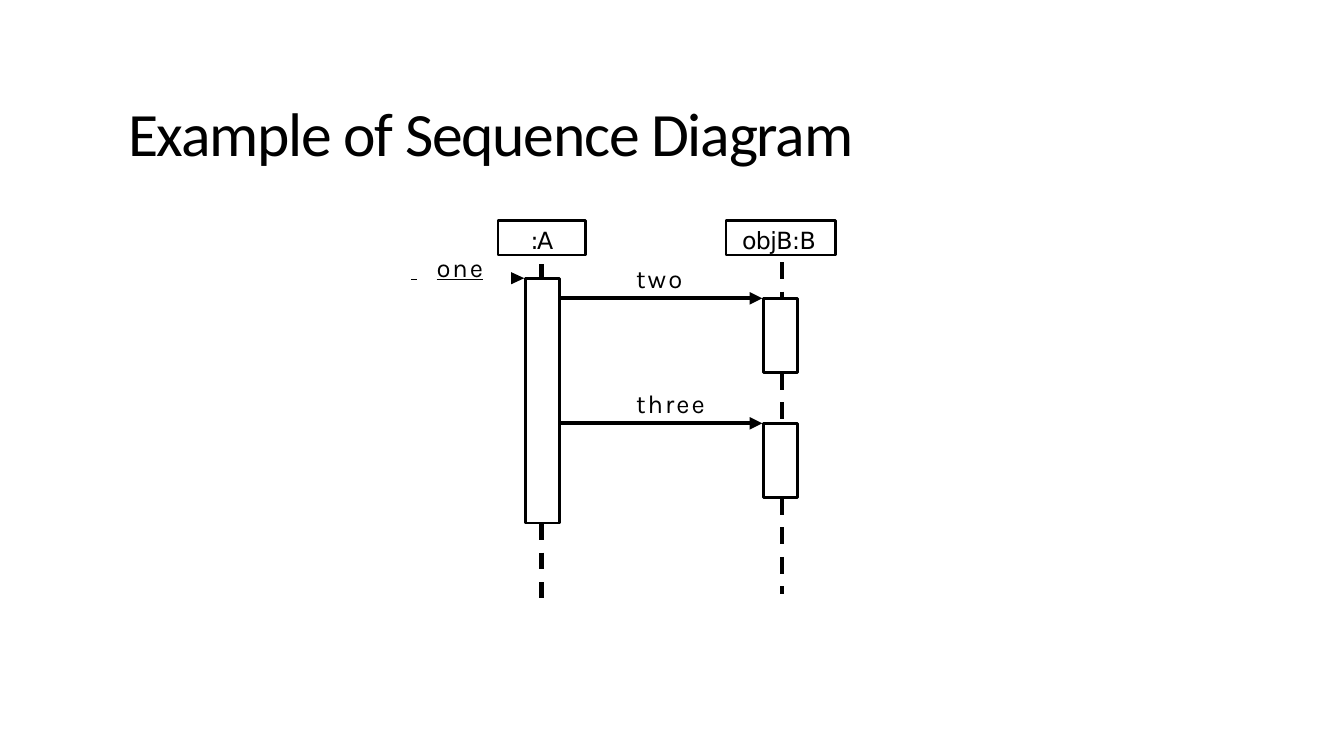
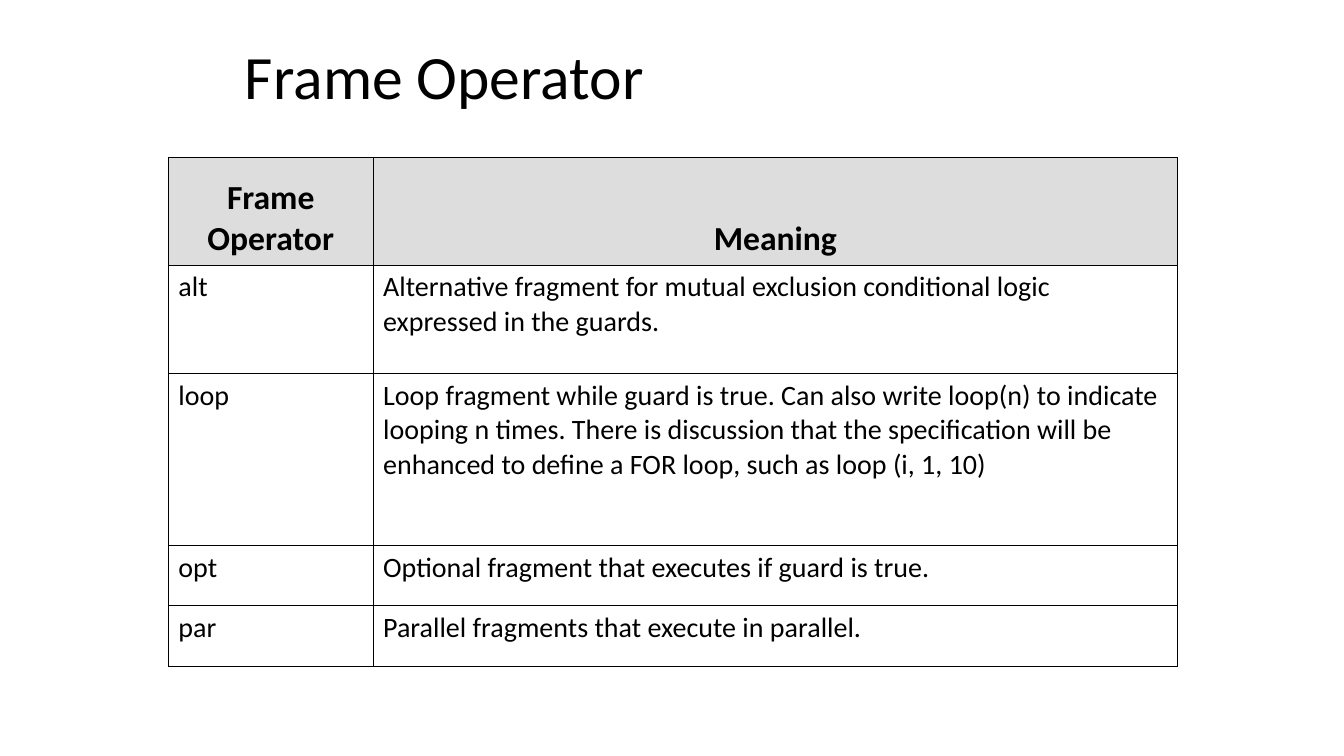
from dataclasses import dataclass

from lxml.etree import SubElement
from pptx import Presentation
from pptx.dml.color import RGBColor
from pptx.enum.dml import MSO_LINE_DASH_STYLE as Dash
from pptx.enum.shapes import MSO_CONNECTOR_TYPE as Connector, MSO_SHAPE as Preset
from pptx.enum.text import MSO_ANCHOR as Anchor, MSO_AUTO_SIZE as AutoSize, PP_ALIGN as Align
from pptx.oxml.ns import qn
from pptx.util import Inches, Pt

BLACK = "000000"
HEADER_GREY = "DDDDDD"
BODY_FONT = "Calibri"
ACTOR_FONT = "DejaVu Sans"
MESSAGE_FONT = "Karla"
BAR_WIDTH = 0.34
ACTOR_TOP, ACTOR_HEIGHT = 2.19, 0.34
OUTLINE, STROKE = 2, 3
HEAD_HALF = 0.06


@dataclass(frozen=True)
class Frame:
    left: float
    top: float
    width: float
    height: float

    def lengths(self) -> tuple:
        return tuple(Inches(v) for v in (self.left, self.top, self.width, self.height))


@dataclass(frozen=True)
class Margins:
    left: float = 0
    top: float = 0
    right: float = 0
    bottom: float = 0


@dataclass(frozen=True)
class Actor:
    name: str
    left: float
    width: float
    align: Align
    indent: float
    spacing: float
    lifeline: float
    dashes: tuple
    bar_left: float
    bars: tuple


@dataclass(frozen=True)
class Message:
    text: str
    label: Frame
    start: float
    end: float
    y: float


ACTORS = (
    Actor(":A", 4.94, 0.87, Align.CENTER, 0, -1, 5.37,
          ((5.19, 5.93), (2.62, 2.76)), 5.21, ((2.76, 5.19),)),
    Actor("objB:B", 7.2, 1.09, Align.LEFT, 0.16, -0.4, 7.76,
          ((4.94, 5.89), (3.7, 4.2), (2.6, 2.96)), 7.57, ((2.96, 3.7), (4.2, 4.94))),
)
MESSAGES = (
    Message("two", Frame(6.3, 2.6, 0.5, 0.32), 5.55, 7.56, 2.96),
    Message("three", Frame(6.3, 3.84, 0.73, 0.32), 5.55, 7.56, 4.2),
)
INCOMING = Message("one", Frame(4.07, 2.49, 1.04, 0.32), 5.07, 5.2, 2.76)
INCOMING_TABS = (0.25, 1.02)

COLUMN_WIDTHS = (2.03, 7.98)
ROW_HEIGHTS = (1.07, 1.08, 1.7, 0.6, 0.6)
OPERATORS = (
    ("Frame Operator", "Meaning"),
    ("alt", "Alternative fragment for mutual exclusion conditional logic expressed in the guards."),
    ("loop", "Loop fragment while guard is true. Can also write loop(n) to indicate looping n times. "
             "There is discussion that the specification will be enhanced to define a FOR loop, "
             "such as loop (i, 1, 10)"),
    ("opt", "Optional fragment that executes if guard is true."),
    ("par", "Parallel fragments that execute in parallel."),
)


def colour(value: str) -> RGBColor:
    return RGBColor.from_string(value)


def set_font(para, name: str, size: float, bold: bool = False) -> None:
    font = para.font
    font.name, font.size, font.bold = name, Pt(size), bold
    font.color.rgb = colour(BLACK)


def add_span(para, text: str, spacing: float) -> None:
    span = para.add_run()
    span.text = text
    span._r.get_or_add_rPr().set("spc", str(round(spacing * 100)))


def set_frame(text_frame, margins: Margins, anchor: Anchor) -> None:
    text_frame.word_wrap = True
    text_frame.auto_size = AutoSize.NONE
    text_frame.vertical_anchor = anchor
    text_frame.margin_left = Inches(margins.left)
    text_frame.margin_top = Inches(margins.top)
    text_frame.margin_right = Inches(margins.right)
    text_frame.margin_bottom = Inches(margins.bottom)


def add_page(deck, title: str, frame: Frame, margins: Margins, spacing: float = 0):
    page = deck.slides.add_slide(deck.slide_layouts[5])
    box = page.shapes.title
    box.left, box.top, box.width, box.height = frame.lengths()
    set_frame(box.text_frame, margins, Anchor.MIDDLE)
    para = box.text_frame.paragraphs[0]
    para.alignment = Align.LEFT
    para.line_spacing = 0.9
    set_font(para, BODY_FONT, 44)
    add_span(para, title, spacing)
    return page


def set_outline(shape, width: float) -> None:
    shape.shadow.inherit = False
    shape.fill.background()
    shape.line.color.rgb = colour(BLACK)
    shape.line.width = Pt(width)


def add_outline(page, frame: Frame):
    box = page.shapes.add_shape(Preset.RECTANGLE, *frame.lengths())
    set_outline(box, OUTLINE)
    return box


def add_lifeline(page, actor: Actor) -> None:
    x = Inches(actor.lifeline)
    first_top = Inches(actor.dashes[0][0])
    builder = page.shapes.build_freeform(x, first_top)
    for index, (top, bottom) in enumerate(actor.dashes):
        if index:
            builder.move_to(x, Inches(top))
        builder.add_line_segments([(x, Inches(bottom))], close=False)
    lifeline = builder.convert_to_shape()
    set_outline(lifeline, STROKE)
    lifeline.line.dash_style = Dash.DASH


def add_actor(page, actor: Actor) -> None:
    box = add_outline(page, Frame(actor.left, ACTOR_TOP, actor.width, ACTOR_HEIGHT))
    set_frame(box.text_frame, Margins(left=actor.indent, top=0.05), Anchor.TOP)
    para = box.text_frame.paragraphs[0]
    para.alignment = actor.align
    set_font(para, ACTOR_FONT, 16.9)
    add_span(para, actor.name, actor.spacing)
    for top, bottom in actor.bars:
        add_outline(page, Frame(actor.bar_left, top, BAR_WIDTH, bottom - top))


def add_arrow(page, message: Message) -> None:
    points = (Inches(v) for v in (message.start, message.y, message.end, message.y))
    arrow = page.shapes.add_connector(Connector.STRAIGHT, *points)
    arrow.line.color.rgb = colour(BLACK)
    arrow.line.width = Pt(STROKE)
    SubElement(arrow.line._get_or_add_ln(), qn("a:tailEnd"), type="triangle")
    SubElement(arrow._element.spPr, qn("a:effectLst"))


def add_arrowhead(page, message: Message) -> None:
    back, tip = Inches(message.start), Inches(message.end)
    upper, lower = Inches(message.y - HEAD_HALF), Inches(message.y + HEAD_HALF)
    builder = page.shapes.build_freeform(tip, Inches(message.y))
    builder.add_line_segments([(back, upper), (back, lower)])
    head = builder.convert_to_shape()
    head.shadow.inherit = False
    head.fill.solid()
    head.fill.fore_color.rgb = colour(BLACK)
    head.line.fill.background()


def add_label(page, message: Message):
    box = page.shapes.add_textbox(*message.label.lengths())
    set_frame(box.text_frame, Margins(left=0.01, top=0.01), Anchor.TOP)
    return box.text_frame.paragraphs[0]


def add_message(page, message: Message) -> None:
    add_arrow(page, message)
    para = add_label(page, message)
    set_font(para, MESSAGE_FONT, 18.3)
    add_span(para, message.text, 1.4)


def add_incoming(page, message: Message) -> None:
    add_arrowhead(page, message)
    para = add_label(page, message)
    tabs = SubElement(para._p.get_or_add_pPr(), qn("a:tabLst"))
    for stop in INCOMING_TABS:
        SubElement(tabs, qn("a:tab"), pos=str(Inches(stop)), algn="l")
    set_font(para, MESSAGE_FONT, 18.3)
    para.font.underline = True
    for text, spacing in ((" \t", 0.1), (message.text + "\t", 1.4)):
        add_span(para, text, spacing)


def set_borders(cell) -> None:
    properties = cell._tc.get_or_add_tcPr()
    for side in ("lnL", "lnR", "lnT", "lnB"):
        line = SubElement(properties, qn(f"a:{side}"), w=str(Pt(0.75)))
        fill = SubElement(line, qn("a:solidFill"))
        SubElement(fill, qn("a:srgbClr"), val=BLACK)


def fill_cell(cell, text: str, header: bool) -> None:
    set_borders(cell)
    cell.text = text
    para = cell.text_frame.paragraphs[0]
    if header:
        cell.fill.solid()
        cell.fill.fore_color.rgb = colour(HEADER_GREY)
        cell.vertical_anchor = Anchor.BOTTOM
        para.alignment = Align.CENTER
    else:
        cell.fill.background()
    set_font(para, BODY_FONT, 24 if header else 20, header)


def add_operator_table(page) -> None:
    frame = Frame(1.67, 1.56, sum(COLUMN_WIDTHS), sum(ROW_HEIGHTS))
    table = page.shapes.add_table(len(ROW_HEIGHTS), len(COLUMN_WIDTHS), *frame.lengths()).table
    table.horz_banding = False
    for column, width in zip(table.columns, COLUMN_WIDTHS):
        column.width = Inches(width)
    for index, (row, height) in enumerate(zip(table.rows, ROW_HEIGHTS)):
        row.height = Inches(height)
        for cell, text in zip(row.cells, OPERATORS[index]):
            fill_cell(cell, text, index == 0)


def build_sequence_page(deck) -> None:
    page = add_page(deck, "Example of Sequence Diagram", Frame(1.24, 0.58, 9.14, 1.11),
                    Margins(left=0.03, top=0.44), -0.9)
    for actor in ACTORS:
        add_lifeline(page, actor)
    for actor in ACTORS:
        add_actor(page, actor)
    for message in MESSAGES:
        add_message(page, message)
    add_incoming(page, INCOMING)


def build_operator_page(deck) -> None:
    page = add_page(deck, "Frame Operator", Frame(2.33, 0.25, 8.92, 1.08),
                    Margins(0.1, 0.05, 0.1, 0.05))
    add_operator_table(page)


def main() -> None:
    deck = Presentation()
    deck.slide_width, deck.slide_height = Inches(13.33), Inches(7.5)
    build_sequence_page(deck)
    build_operator_page(deck)
    deck.save("out.pptx")


if __name__ == "__main__":
    main()
